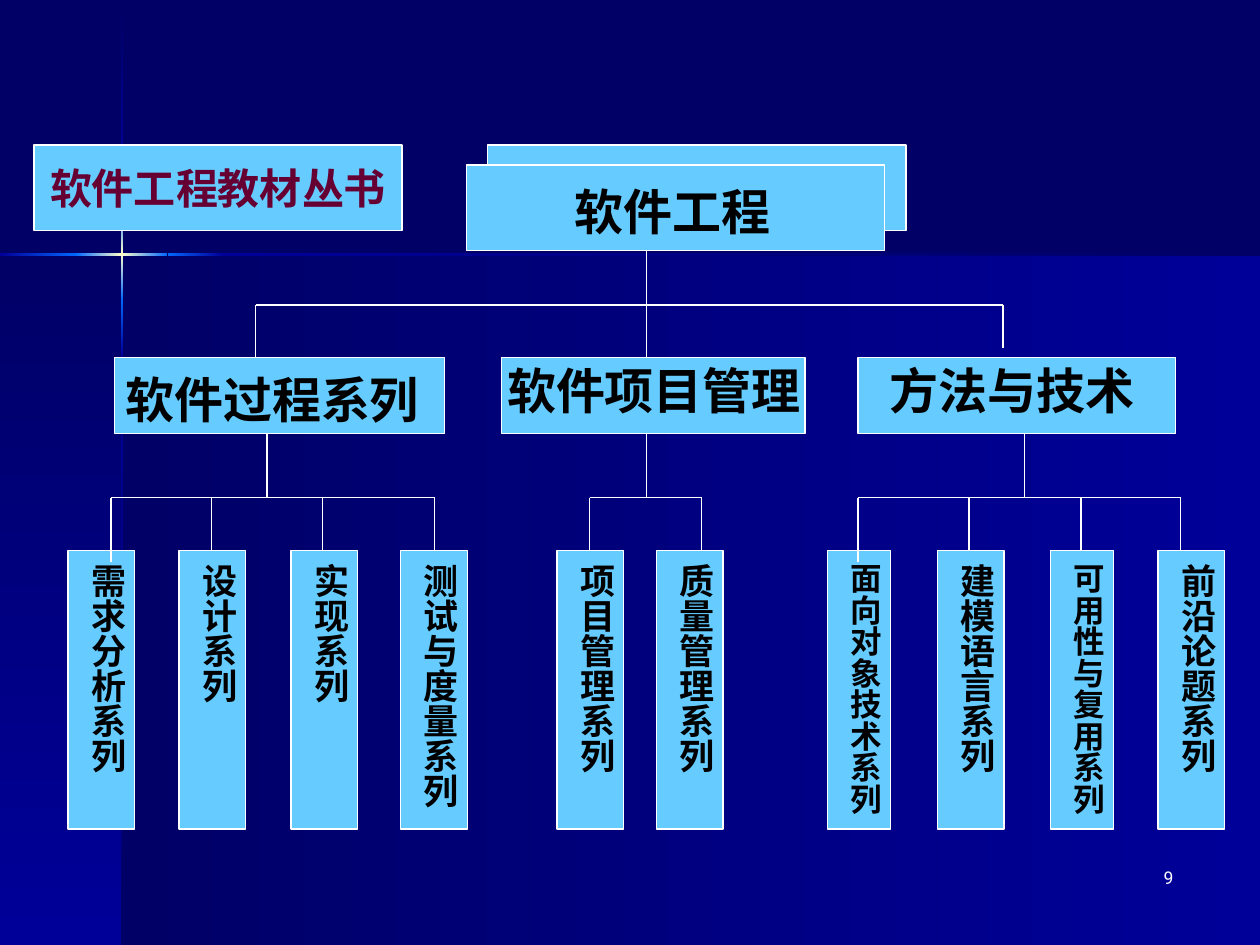
from copy import deepcopy
from lxml import etree
from pptx import Presentation
from pptx.dml.color import RGBColor
from pptx.enum.shapes import MSO_CONNECTOR, MSO_SHAPE
from pptx.enum.text import MSO_ANCHOR, PP_ALIGN
from pptx.oxml.ns import qn
from pptx.util import Pt

RECT = MSO_SHAPE.RECTANGLE
STRAIGHT = MSO_CONNECTOR.STRAIGHT
TOP, MIDDLE = MSO_ANCHOR.TOP, MSO_ANCHOR.MIDDLE
CENTER, RIGHT = PP_ALIGN.CENTER, PP_ALIGN.RIGHT
LEFTWARD, DOWNWARD = 180, 270
PX = 9144

NAVY, BLUE, BRIGHT, GLOW = "000066", "000099", "0066FF", "FFFFCC"
SKY, WHITE, BLACK, WINE = "66CCFF", "FFFFFF", "000000", "660033"


def rgb(value):
    return RGBColor.from_string(value)


def px(*values):
    return [v * PX for v in values]


def add_band(s, box, colors, angle):
    sp = s.shapes.add_shape(RECT, *px(*box))
    sp.shadow.inherit = False
    sp.line.fill.background()
    sp.fill.gradient()
    sp.fill.gradient_angle = angle
    stops = sp._element.spPr.find(".//" + qn("a:gsLst"))
    for _ in colors[2:]:
        stops.append(deepcopy(stops[0]))
    for i, (stop, color) in enumerate(zip(sp.fill.gradient_stops, colors)):
        stop.color.rgb = rgb(color)
        stop.position = i / (len(colors) - 1)


def add_box(s, box):
    sp = s.shapes.add_shape(RECT, *px(*box))
    sp.shadow.inherit = False
    sp.fill.solid()
    sp.fill.fore_color.rgb = rgb(SKY)
    sp.line.color.rgb = rgb(WHITE)
    sp.line.width = Pt(0.75)
    return sp


def add_line(s, x1, y1, x2, y2):
    line = s.shapes.add_connector(STRAIGHT, *px(x1, y1, x2, y2))
    line.line.color.rgb = rgb(WHITE)
    line.line.width = Pt(0.75)
    etree.SubElement(line._element.spPr, qn("a:effectLst"))


def write(sp, text, size, font="Arial", color=BLACK, bold=True,
          align=CENTER, anchor=TOP, wrap=True):
    tf = sp.text_frame
    tf.word_wrap = wrap
    tf.vertical_anchor = anchor
    tf.text = text
    p = tf.paragraphs[0]
    p.alignment = align
    p.font.size = Pt(size)
    r = p.runs[0]
    r.font.size = Pt(size)
    r.font.name = font
    r.font.bold = bold
    r.font.color.rgb = rgb(color)


def add_label(s, box, text, size, **style):
    write(s.shapes.add_textbox(*px(*box)), text, size, **style)


def draw_backdrop(s, w, h):
    s.background.fill.solid()
    s.background.fill.fore_color.rgb = rgb(NAVY)
    x, y = 97, 202
    add_band(s, (x, y, w - x, h - y), (BLUE, NAVY), LEFTWARD)
    add_band(s, (0, y, x, h - y), (NAVY, BLUE), DOWNWARD)
    for top, height, colors in (
        (1, 121, (NAVY, BLUE)),
        (282, 468, (BLUE, NAVY)),
        (238, 44, (BRIGHT, BLUE)),
        (165, 73, (BRIGHT, GLOW, BRIGHT)),
    ):
        add_band(s, (x - 1, top, 2, height), colors, DOWNWARD)
    for left, width, colors in (
        (177, 823, (NAVY, BLUE)),
        (0, 61, (BRIGHT, BLUE)),
        (133, 44, (BLUE, BRIGHT)),
        (60, 73, (BRIGHT, GLOW, BRIGHT)),
    ):
        add_band(s, (left, y - 1, width, 2), colors, LEFTWARD)


def draw_leaf(s, box, text, size):
    sp = add_box(s, box)
    tf = sp.text_frame
    tf.margin_left, tf.margin_right, tf.margin_top, tf.margin_bottom = px(5, 5, 10, 10)
    write(sp, text, size)
    tf._txBody.bodyPr.set("vert", "eaVert")


def draw_branch(s, box, title, label_x, label_dy, stem, leaves):
    x, y, w, h = box
    bus, leaf_top = y + h + 51, y + 153
    add_box(s, box)
    for left, _, text in leaves:
        long_name = len(text) > 7
        draw_leaf(s, (left, leaf_top, 50 if long_name else 53, 221), text,
                  18 if long_name else 20)
    add_line(s, stem, y + h, stem, bus)
    add_line(s, leaves[0][1], bus, leaves[-1][1], bus)
    for i, (_, drop, _) in enumerate(leaves):
        overlap = 9 if i == 0 and len(leaves) > 2 else 0
        add_line(s, drop, bus, drop, leaf_top + overlap)
    add_label(s, (label_x - 200, y + label_dy, 400, 57), title, 28,
              font="Times New Roman")


def draw_root(s, box):
    x, y, w, h = box
    bus = y + h + 43
    add_line(s, 203, bus, 796, bus)
    for drop, top, bottom in ((203, bus, 284), (513, y + h, 284), (796, bus, 276)):
        add_line(s, drop, top, drop, bottom)
    add_box(s, (x + 17, y - 16, w, h))
    add_box(s, box)
    add_label(s, (x, y + 8, w - 4, 57), "软件工程", 28, font="Times New Roman")


BRANCHES = (
    ((91, 284, 262, 60), "软件过程系列", 216, 4, 212, (
        (54, 88, "需求分析系列"), (142, 168, "设计系列"),
        (231, 256, "实现系列"), (318, 345, "测试与度量系列"))),
    ((398, 284, 241, 60), "软件项目管理", 519, -3, 513, (
        (442, 468, "项目管理系列"), (521, 557, "质量管理系列"))),
    ((681, 284, 252, 60), "方法与技术", 803, -3, 813, (
        (657, 681, "面向对象技术系列"), (744, 769, "建模语言系列"),
        (834, 858, "可用性与复用系列"), (919, 937, "前沿论题系列"))),
)


def main():
    prs = Presentation()
    prs.slide_width, prs.slide_height = px(1000, 750)
    s = prs.slides.add_slide(prs.slide_layouts[6])
    draw_backdrop(s, 1000, 750)
    write(add_box(s, (27, 115, 292, 68)), "软件工程教材丛书", 24,
          color=WINE, anchor=MIDDLE, wrap=False)
    for branch in BRANCHES:
        draw_branch(s, *branch)
    draw_root(s, (370, 131, 332, 68))
    add_label(s, (733, 683, 208, 50), "9", 10, font="Roboto", color=WHITE,
              bold=False, align=RIGHT)
    prs.save("out.pptx")


if __name__ == "__main__":
    main()
